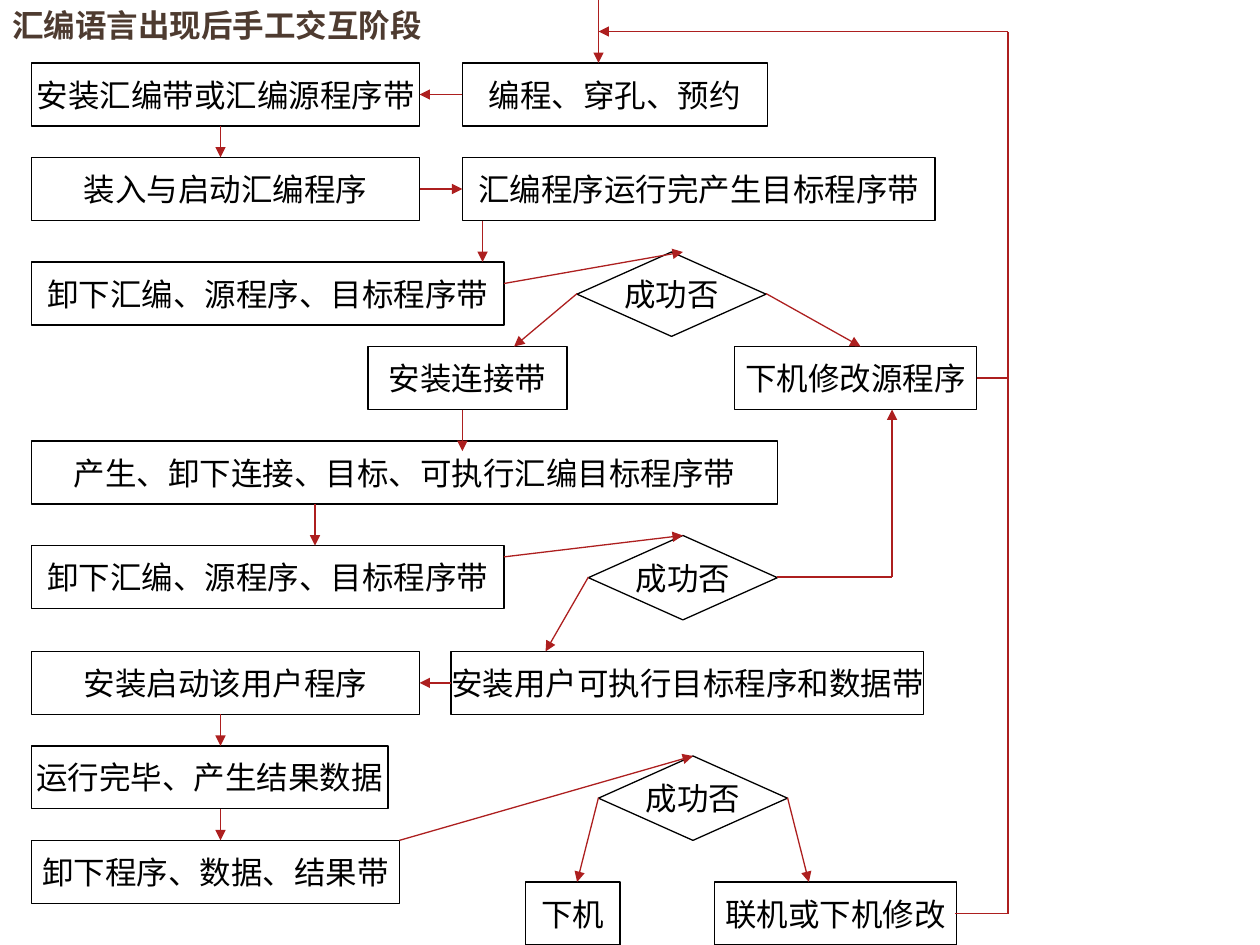
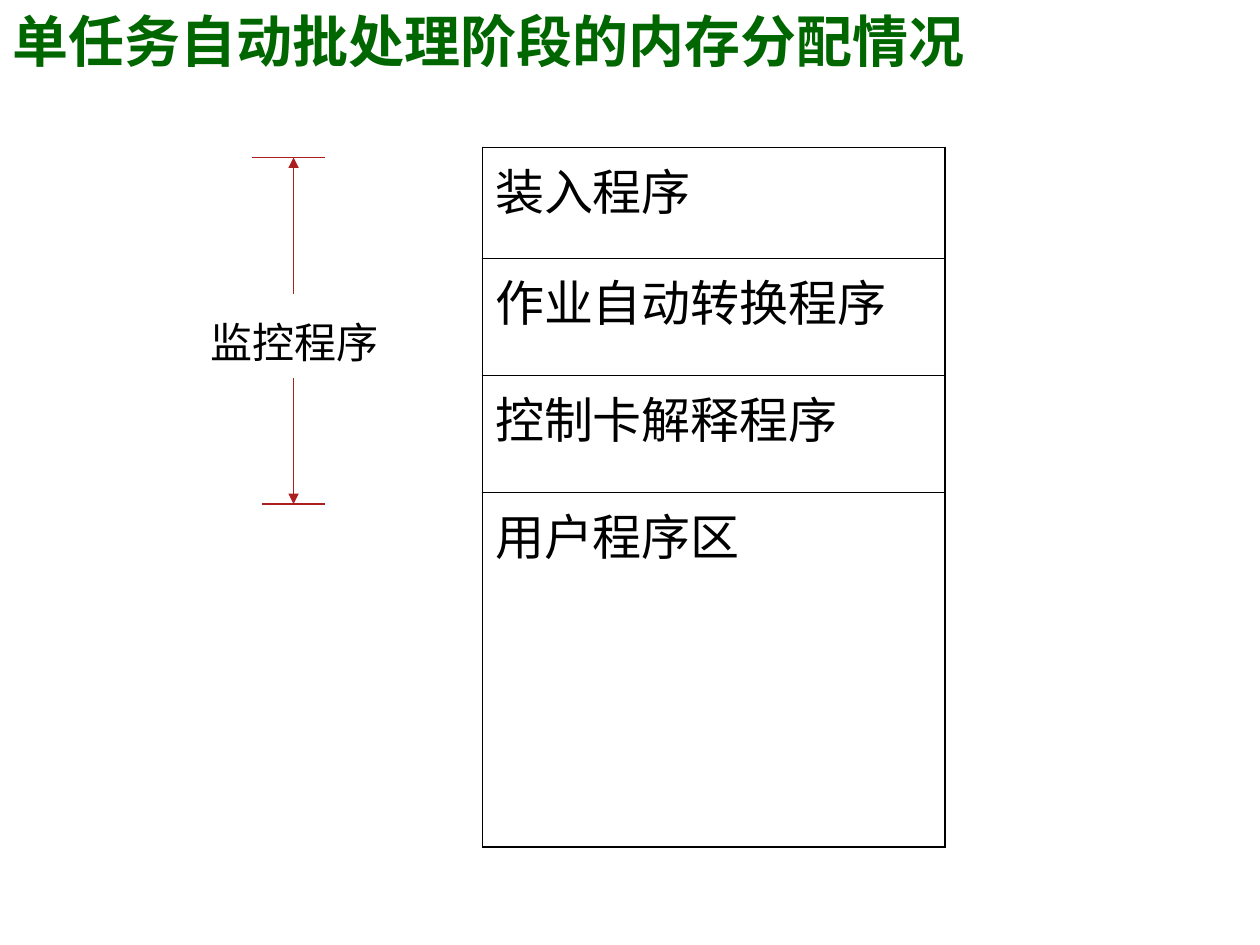
"""Build two slides: the assembly-era operating flow and the batch memory layout."""
from lxml import etree
from pptx import Presentation
from pptx.dml.color import RGBColor
from pptx.enum.shapes import MSO_CONNECTOR, MSO_SHAPE
from pptx.enum.text import MSO_ANCHOR, PP_ALIGN
from pptx.oxml.ns import qn
from pptx.util import Inches, Pt

RECTANGLE = MSO_SHAPE.RECTANGLE
DECISION = MSO_SHAPE.FLOWCHART_DECISION
STRAIGHT = MSO_CONNECTOR.STRAIGHT
MIDDLE = MSO_ANCHOR.MIDDLE
LEFT, CENTER = PP_ALIGN.LEFT, PP_ALIGN.CENTER

COLORS = {"ink": "000000", "paper": "FFFFFF", "arrow": "AD1F1F",
          "brown": "4E3B30", "green": "006600"}
TITLE_FONT, BOX_FONT, TABLE_FONT = "Karla", "Times New Roman", "Arial"
LINE_WIDTH, OUTER_BORDER, INNER_BORDER = 0.75, 1.08, 0.45
BOX_HEIGHT = 0.5
DECISION_SIZE = (1.5, 0.67)

STEPS = [
    (3.67, 0.5, 2.42, "编程、穿孔、预约"),
    (0.25, 0.5, 3.08, "安装汇编带或汇编源程序带"),
    (0.25, 1.25, 3.08, "装入与启动汇编程序"),
    (3.67, 1.25, 3.75, "汇编程序运行完产生目标程序带"),
    (0.25, 2.08, 3.75, "卸下汇编、源程序、目标程序带"),
    (2.92, 2.75, 1.58, "安装连接带"),
    (5.83, 2.75, 1.92, "下机修改源程序"),
    (0.25, 3.5, 5.92, "产生、卸下连接、目标、可执行汇编目标程序带"),
    (0.25, 4.33, 3.75, "卸下汇编、源程序、目标程序带"),
    (3.58, 5.17, 3.75, "安装用户可执行目标程序和数据带"),
    (0.25, 5.17, 3.08, "安装启动该用户程序"),
    (0.25, 5.92, 2.83, "运行完毕、产生结果数据"),
    (0.25, 6.67, 2.92, "卸下程序、数据、结果带"),
    (4.17, 7, 0.75, "下机"),
    (5.67, 7, 1.92, "联机或下机修改"),
]
DECISIONS = [(4.58, 2), (4.67, 4.25), (4.75, 6)]
ROUTES = [
    [(4.75, 0), (4.75, 0.5)],
    [(3.67, 0.75), (3.33, 0.75)],
    [(1.75, 1), (1.75, 1.25)],
    [(3.33, 1.5), (3.67, 1.5)],
    [(3.83, 1.75), (3.83, 2.08)],
    [(4, 2.25), (5.42, 2)],
    [(4.58, 2.33), (4.08, 2.75)],
    [(6.08, 2.33), (6.83, 2.75)],
    [(3.67, 3.25), (3.67, 3.58)],
    [(2.5, 4), (2.5, 4.33)],
    [(4, 4.42), (5.42, 4.25)],
    [(4.67, 4.58), (4.33, 5.17)],
    [(6.17, 4.58), (7.08, 4.58), (7.08, 3.25)],
    [(3.58, 5.42), (3.33, 5.42)],
    [(1.75, 5.67), (1.75, 5.92)],
    [(1.75, 6.42), (1.75, 6.67)],
    [(3.17, 6.67), (5.5, 6)],
    [(4.75, 6.33), (4.58, 7)],
    [(6.25, 6.33), (6.42, 7)],
    [(7.58, 7.25), (8, 7.25), (8, 0.25), (4.75, 0.25)],
]
MEMORY_AREAS = [("装入程序", 0.88), ("作业自动转换程序", 0.93),
                ("控制卡解释程序", 0.93), ("用户程序区", 2.81)]


def color(name):
    """Return the named colour."""
    return RGBColor.from_string(COLORS[name])


def write(frame, text, size=18, font=BOX_FONT, ink="ink", bold=False, align=LEFT):
    """Put one formatted paragraph into a text frame."""
    para = frame.paragraphs[0]
    para.alignment = align
    span = para.add_run()
    span.text = text
    span.font.size, span.font.name, span.font.bold = Pt(size), font, bold
    span.font.color.rgb = color(ink)


def set_border(cell, side, width):
    """Draw one black border of a table cell."""
    border = etree.SubElement(cell._tc.get_or_add_tcPr(), qn("a:" + side),
                              w=str(Pt(width)))
    fill = etree.SubElement(border, qn("a:solidFill"))
    etree.SubElement(fill, qn("a:srgbClr"), val=COLORS["ink"])


class SlideBuilder:
    """Hold the deck style and the current slide."""

    def __init__(self, deck):
        """Start with a deck that has no slides."""
        self.deck = deck
        self.page = None

    def start(self, title, size, ink):
        """Add a blank slide with its heading."""
        self.page = self.deck.slides.add_slide(self.deck.slide_layouts[6])
        box = self.page.shapes.add_textbox(0, 0, Inches(8.5), Inches(7.5))
        box.text_frame.word_wrap = True
        write(box.text_frame, title, size=size, font=TITLE_FONT, ink=ink, bold=True)

    def box(self, left, top, width, height, text, shape=RECTANGLE, edge="ink", size=18):
        """Add a white outlined shape with centred text."""
        box = self.page.shapes.add_shape(shape, Inches(left), Inches(top),
                                         Inches(width), Inches(height))
        box.shadow.inherit = False
        box.fill.solid()
        box.fill.fore_color.rgb = color("paper")
        box.line.color.rgb = color(edge)
        box.line.width = Pt(LINE_WIDTH)
        box.text_frame.word_wrap = False
        box.text_frame.vertical_anchor = MIDDLE
        write(box.text_frame, text, size=size, align=CENTER)

    def line(self, start, end, arrow=False):
        """Add a straight line, with an arrowhead at its end if asked."""
        line = self.page.shapes.add_connector(STRAIGHT, *map(Inches, start + end))
        line.line.color.rgb = color("arrow")
        line.line.width = Pt(LINE_WIDTH)
        if arrow:
            etree.SubElement(line.line._get_or_add_ln(), qn("a:tailEnd"), type="triangle")
        etree.SubElement(line._element.spPr, qn("a:effectLst"))

    def route(self, points):
        """Join the points with lines and put an arrowhead on the last."""
        last = len(points) - 2
        for index, (start, end) in enumerate(zip(points, points[1:])):
            self.line(start, end, arrow=index == last)

    def stack(self, left, top, width, areas):
        """Add a one-column table of named areas and their heights."""
        height = sum(depth for _, depth in areas)
        table = self.page.shapes.add_table(len(areas), 1, Inches(left), Inches(top),
                                           Inches(width), Inches(height)).table
        table.first_row = table.horz_banding = False
        last = len(areas) - 1
        for index, (text, depth) in enumerate(areas):
            table.rows[index].height = Inches(depth)
            cell = table.cell(index, 0)
            write(cell.text_frame, text, size=28, font=TABLE_FONT)
            set_border(cell, "lnL", OUTER_BORDER)
            set_border(cell, "lnR", OUTER_BORDER)
            set_border(cell, "lnT", OUTER_BORDER if index == 0 else INNER_BORDER)
            set_border(cell, "lnB", OUTER_BORDER if index == last else INNER_BORDER)
            cell.fill.solid()
            cell.fill.fore_color.rgb = color("paper")


def build_flow(builder):
    """Build the flowchart slide."""
    builder.start("汇编语言出现后手工交互阶段", 18, "brown")
    for left, top, width, text in STEPS:
        builder.box(left, top, width, BOX_HEIGHT, text)
    for left, top in DECISIONS:
        builder.box(left, top, *DECISION_SIZE, "成功否", shape=DECISION)
    for points in ROUTES:
        builder.route(points)
    builder.line((7.75, 3), (8, 3))


def build_memory(builder):
    """Build the memory layout slide."""
    builder.start("单任务自动批处理阶段的内存分配情况", 32, "green")
    builder.stack(3.83, 1.17, 3.67, MEMORY_AREAS)
    builder.line((2, 1.25), (2.58, 1.25))
    builder.line((2.08, 4), (2.58, 4))
    builder.box(1.42, 2.42, 1.83, 0.58, "监控程序", edge="paper", size=24)
    builder.route([(2.33, 2.33), (2.33, 1.25)])
    builder.route([(2.33, 3), (2.33, 4)])


def main():
    """Build and save the deck."""
    deck = Presentation()
    deck.slide_width, deck.slide_height = Inches(10), Inches(7.5)
    builder = SlideBuilder(deck)
    build_flow(builder)
    build_memory(builder)
    deck.save("out.pptx")


if __name__ == "__main__":
    main()
